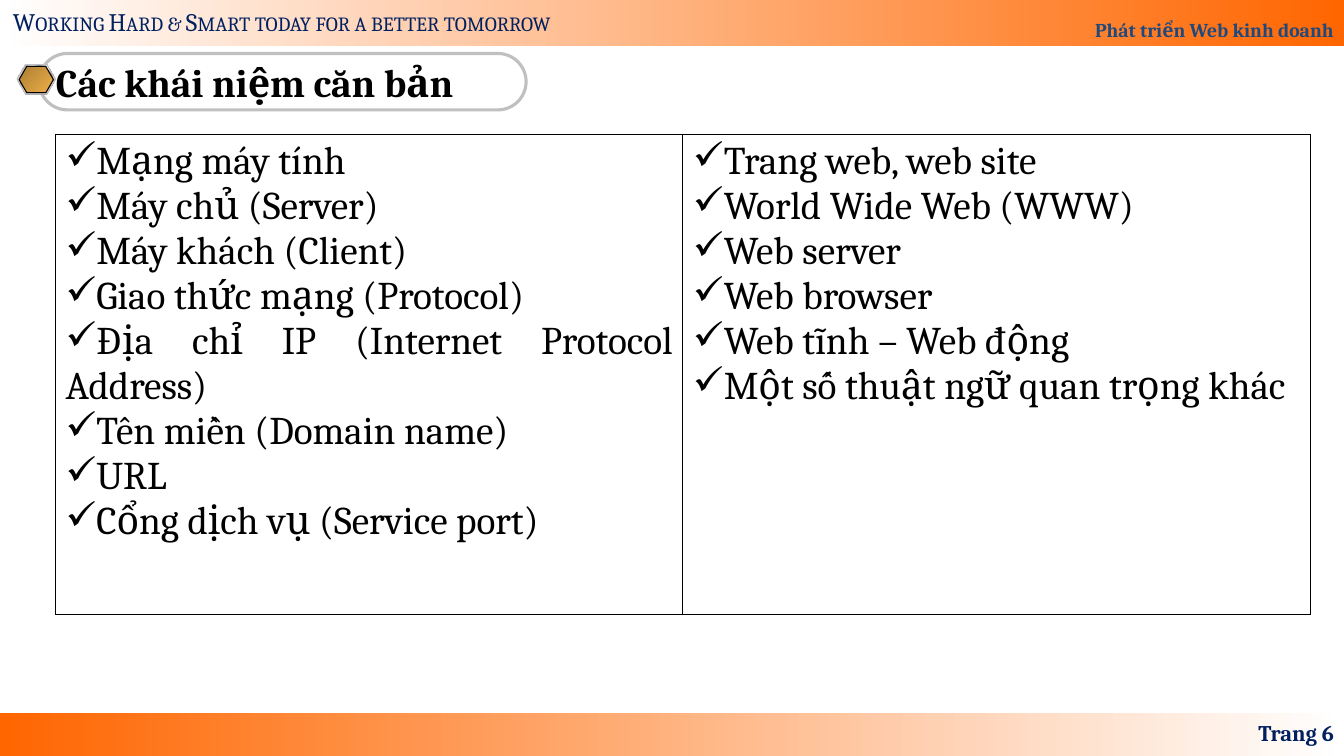
import pptx
import pptx.util
import pptx.dml.color
import pptx.enum.shapes
import pptx.enum.text
import pptx.oxml
import pptx.oxml.ns

Pt = pptx.util.Pt
RGB = pptx.dml.color.RGBColor.from_string
SHAPE = pptx.enum.shapes.MSO_SHAPE
ALIGN = pptx.enum.text.PP_ALIGN
ANCHOR = pptx.enum.text.MSO_ANCHOR
qn = pptx.oxml.ns.qn

# Content
COURSE = "Phát triển Web kinh doanh"
MOTTO = "Working Hard & Smart today for a better tomorrow"
TITLE = "Các khái niệm căn bản"
PAGE = "Trang 6"
CONCEPTS = [
    [
        "Mạng máy tính",
        "Máy chủ (Server)",
        "Máy khách (Client)",
        "Giao thức mạng (Protocol)",
        "Địa chỉ IP (Internet Protocol Address)",
        "Tên miền (Domain name)",
        "URL",
        "Cổng dịch vụ (Service port)",
    ],
    [
        "Trang web, web site",
        "World Wide Web (WWW)",
        "Web server",
        "Web browser",
        "Web tĩnh – Web động",
        "Một số thuật ngữ quan trọng khác",
    ],
]

# Theme: colours, gradients and type
SILVER = [(0, "E6E6E6"), (7, "7D8496"), (26, "E6E6E6"), (34, "7D8496"),
          (46, "E6E6E6"), (50, "FFFFFF"), (54, "E6E6E6"), (66, "7D8496"),
          (74, "E6E6E6"), (93, "7D8496"), (100, "E6E6E6")]
THEME = {
    "font": "Cambria",
    "black": "000000",
    "grey": "C0C0C0",
    "shade": "808080",
    "bar": [(0, "FFFFFF"), (100, "FF6600")],
    "bar_reversed": [(0, "FF6600"), (100, "FFFFFF")],
    "silver": SILVER,
    "gold": [(0, "AB7E34"), (100, "EFB049")],
    "course": {"size": Pt(14), "bold": True, "color": "1F497D"},
    "motto": {"size": Pt(18), "bold": False, "color": "002060"},
    "title": {"size": Pt(28), "bold": True, "color": "000000"},
    "page": {"size": Pt(16), "bold": True, "color": "002060"},
    "list": {"size": Pt(28), "bold": False, "color": "000000"},
}

# Layout, in points
WIDTH, HEIGHT = 960, 540
HEADER_H, FOOTER_H = 33.1, 31
PILL = (28, 38.2, 347.8, 40.3)
TABLE = (39.6, 95.8, 896.4, 343.4)
HEXAGONS = [  # box, gradient or solid fill, outline
    ((12.2, 46.8, 27.4, 20.9), "shade", None),
    ((12.2, 46.1, 27.4, 20.9), "silver", "grey"),
    ((13.7, 47.5, 24.5, 18.7), "gold", "black"),
]


def pts(box):
    return [Pt(v) for v in box]


def fill_gradient(sp, stops, angle=0):
    sp.fill.gradient()
    grad = sp.element.spPr.find(qn("a:gradFill"))
    gs_list = grad.find(qn("a:gsLst"))
    for gs in list(gs_list):
        gs_list.remove(gs)
    for pos, color in stops:
        gs_list.append(pptx.oxml.parse_xml(
            f'<a:gs {pptx.oxml.ns.nsdecls("a")} pos="{pos * 1000}">'
            f'<a:srgbClr val="{color}"/></a:gs>'))
    grad.find(qn("a:lin")).set("ang", str(angle * 60000))


def add_shape(s, kind, box, fill=None, line=None, weight=0.75, angle=0):
    sp = s.shapes.add_shape(kind, *pts(box))
    sp.shadow.inherit = False
    if fill is None:
        sp.fill.background()
    elif isinstance(THEME[fill], list):
        fill_gradient(sp, THEME[fill], angle)
    else:
        sp.fill.solid()
        sp.fill.fore_color.rgb = RGB(THEME[fill])
    if line:
        sp.line.color.rgb = RGB(THEME[line])
        sp.line.width = Pt(weight)
    else:
        sp.line.fill.background()
    return sp


def write(p, text, style, align):
    p.alignment = align
    r = p.add_run()
    r.text = text
    form = dict(THEME[style], name=THEME["font"])
    r.font.color.rgb = RGB(form.pop("color"))
    for key, value in form.items():
        setattr(r.font, key, value)
    return r


def set_frame(tf, **form):
    for key, value in form.items():
        setattr(tf, key, value)


def add_check(p):
    pPr = p._p.get_or_add_pPr()
    pPr.set("marL", "0")
    pPr.set("indent", "0")
    pPr.append(pptx.oxml.parse_xml(
        f'<a:buChar {pptx.oxml.ns.nsdecls("a")} char="✓"/>'))


def add_borders(cell):
    tcPr = cell._tc.get_or_add_tcPr()
    for i, side in enumerate("LRTB"):
        tcPr.insert(i, pptx.oxml.parse_xml(
            f'<a:ln{side} {pptx.oxml.ns.nsdecls("a")} w="12700"><a:solidFill>'
            f'<a:srgbClr val="{THEME["black"]}"/></a:solidFill></a:ln{side}>'))


def main():
    prs = pptx.Presentation()
    prs.slide_width, prs.slide_height = Pt(WIDTH), Pt(HEIGHT)
    s = prs.slides.add_slide(prs.slide_layouts[5])

    # Footer and header bars
    footer_top = HEIGHT - FOOTER_H
    add_shape(s, SHAPE.RECTANGLE, (0, footer_top, WIDTH, FOOTER_H), "bar_reversed")
    header = add_shape(s, SHAPE.RECTANGLE, (0, 0, WIDTH, HEADER_H), "bar")
    set_frame(header.text_frame, vertical_anchor=ANCHOR.BOTTOM, word_wrap=True)
    p = header.text_frame.paragraphs[0]
    p.line_spacing = 1.8
    write(p, COURSE, "course", ALIGN.RIGHT)

    # Motto in small capitals
    motto = s.shapes.add_textbox(*pts((2.2, 0.7, 424.8, 28.8)))
    motto.text_frame.word_wrap = False
    r = write(motto.text_frame.paragraphs[0], MOTTO, "motto", ALIGN.LEFT)
    r._r.get_or_add_rPr().set("cap", "small")

    # Title with its pill and hexagon badge
    pill = add_shape(s, SHAPE.ROUNDED_RECTANGLE, PILL, line="grey", weight=2.25)
    pill.adjustments[0] = 0.5
    for box, fill, line in HEXAGONS:
        hexagon = add_shape(s, SHAPE.HEXAGON, box, fill, line, angle=45)
        hexagon.adjustments[0] = 0.29
    title = s.shapes.title
    title.left, title.top, title.width, title.height = pts(PILL)
    set_frame(title.text_frame, vertical_anchor=ANCHOR.MIDDLE, word_wrap=False,
              auto_size=pptx.enum.text.MSO_AUTO_SIZE.NONE, margin_left=Pt(12))
    write(title.text_frame.paragraphs[0], TITLE, "title", ALIGN.LEFT)

    # Page number
    page = s.shapes.add_textbox(*pts((736, footer_top, 224, 28.8)))
    set_frame(page.text_frame, vertical_anchor=ANCHOR.MIDDLE, word_wrap=True)
    write(page.text_frame.paragraphs[0], PAGE, "page", ALIGN.RIGHT)

    # Table of concepts
    table = s.shapes.add_table(1, len(CONCEPTS), *pts(TABLE)).table
    table.first_row = table.horz_banding = False
    for cell, concepts in zip(table.rows[0].cells, CONCEPTS):
        cell.fill.background()
        add_borders(cell)
        tf = cell.text_frame
        for i, concept in enumerate(concepts):
            p = tf.add_paragraph() if i else tf.paragraphs[0]
            add_check(p)
            write(p, concept, "list", ALIGN.JUSTIFY)

    prs.save("out.pptx")


if __name__ == "__main__":
    main()
